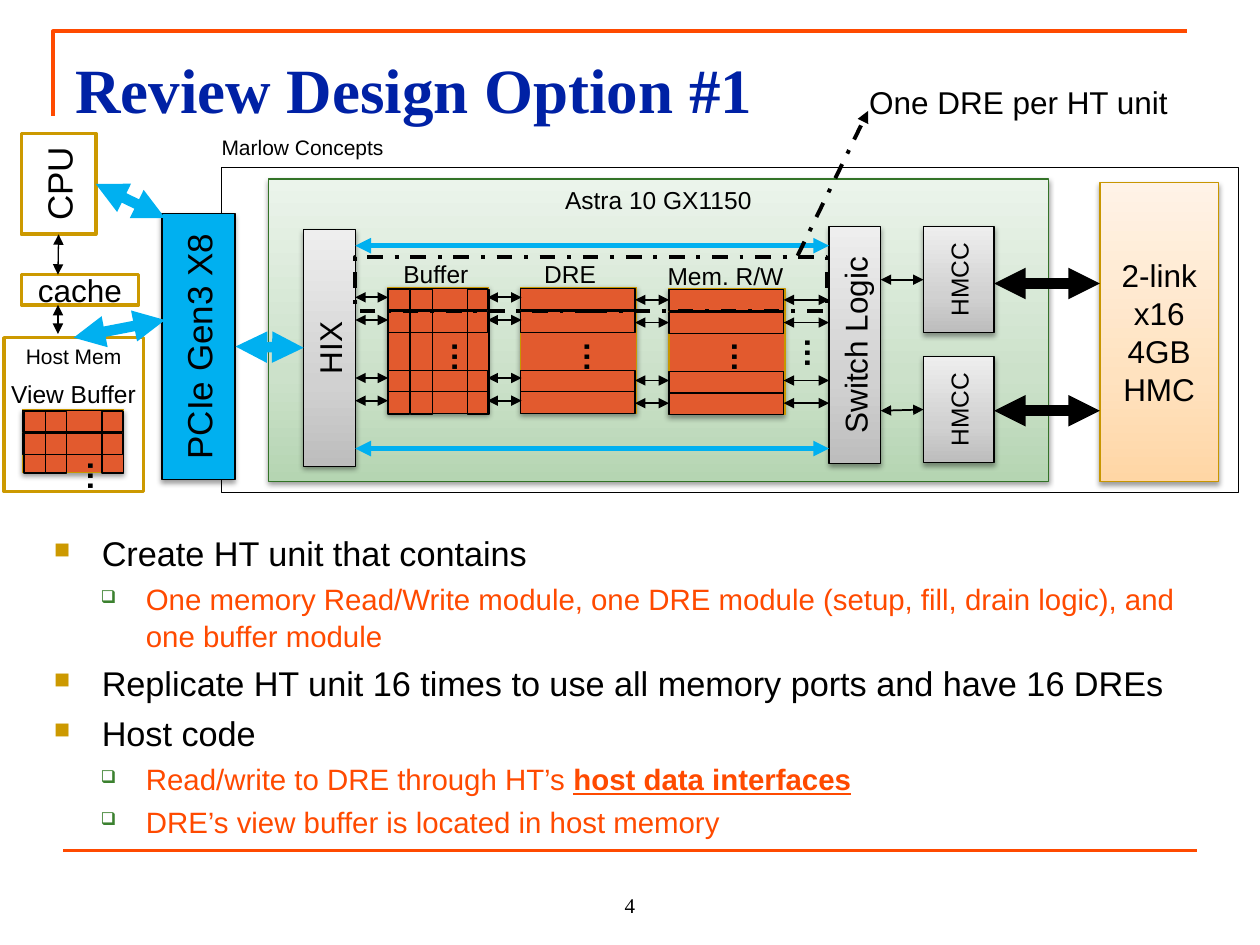
import lxml.etree
import pptx
import pptx.dml.color
import pptx.enum.dml
import pptx.enum.shapes
import pptx.enum.text
import pptx.oxml.ns
import pptx.util

Inches = pptx.util.Inches
Pt = pptx.util.Pt
RGBColor = pptx.dml.color.RGBColor
qn = pptx.oxml.ns.qn
ALIGN = pptx.enum.text.PP_ALIGN
ANCHOR = pptx.enum.text.MSO_ANCHOR
DASH_DOT = pptx.enum.dml.MSO_LINE.DASH_DOT

BLACK = RGBColor(0x00, 0x00, 0x00)
WHITE = RGBColor(0xFF, 0xFF, 0xFF)
NAVY = RGBColor(0x00, 0x21, 0xA5)
ORANGE = RGBColor(0xFF, 0x4A, 0x00)
BRICK = RGBColor(0xE2, 0x5A, 0x2E)
AMBER = RGBColor(0xC8, 0x96, 0x00)
GOLD = RGBColor(0xCC, 0x99, 0x00)
SKY = RGBColor(0x00, 0xB0, 0xF0)
GREEN = RGBColor(0x3B, 0x81, 0x2F)
DARK_GREEN = RGBColor(0x33, 0x73, 0x27)
GREEN_BLEND = [RGBColor(0xB5, 0xD5, 0xB2), RGBColor(0xCC, 0xE1, 0xCA), RGBColor(0xEB, 0xF4, 0xEB)]
PEACH_BLEND = [RGBColor(0xFF, 0xD6, 0xA5), RGBColor(0xFF, 0xE2, 0xBF), RGBColor(0xFF, 0xF3, 0xE7)]
GRAY_BLEND = [RGBColor(0xBD, 0xBD, 0xBD), RGBColor(0xD1, 0xD1, 0xD1), RGBColor(0xEE, 0xEE, 0xEE)]


def add_element(parent, tag, **attributes):
    """Append a drawing element with the given attributes."""
    element = lxml.etree.SubElement(parent, qn(tag))
    for name, value in attributes.items():
        element.set(name, str(value))
    return element


def add_run(paragraph, text, size, color=BLACK, font="Arial", bold=False, underline=False):
    """Add one formatted run to a paragraph."""
    run = paragraph.add_run()
    run.text = text
    run.font.size = Pt(size)
    run.font.name = font
    run.font.bold = bold
    run.font.underline = underline
    run.font.color.rgb = color


def add_label(slide, bounds, text, size, align=ALIGN.LEFT, anchor=ANCHOR.TOP, vertical=None, **style):
    """Add a wrapped text box with one paragraph."""
    frame = slide.shapes.add_textbox(*map(Inches, bounds)).text_frame
    frame.word_wrap = True
    frame.vertical_anchor = anchor
    if vertical:
        frame._txBody.bodyPr.set("vert", vertical)
    frame.paragraphs[0].alignment = align
    add_run(frame.paragraphs[0], text, size, **style)
    return frame


def add_ellipsis(slide, left, top):
    """Add a downward ellipsis."""
    add_label(slide, (left, top, 0.36, 0.4), "…", 18, vertical="vert", bold=True)


def apply_blend(shape, colors):
    """Fill a shape with an upward three-colour gradient."""
    shape.fill.background()
    properties = shape.element.spPr
    gradient = lxml.etree.Element(qn("a:gradFill"), rotWithShape="1")
    stops = add_element(gradient, "a:gsLst")
    for position, color in zip((0, 35000, 100000), colors):
        add_element(add_element(stops, "a:gs", pos=position), "a:srgbClr", val=color)
    add_element(gradient, "a:lin", ang=270 * 60000, scaled=0)
    properties.replace(properties.find(qn("a:noFill")), gradient)


def add_box(slide, bounds, fill=None, line=BLACK, weight=0.75, shadow=False, rotation=0,
            text=None, size=18, anchor=ANCHOR.MIDDLE, vertical=None):
    """Add a rectangle with a solid, gradient or absent fill and an optional label."""
    shape = slide.shapes.add_shape(pptx.enum.shapes.MSO_SHAPE.RECTANGLE, *map(Inches, bounds))
    shape.rotation = rotation
    shape.shadow.inherit = False
    if isinstance(fill, list):
        apply_blend(shape, fill)
    elif fill is None:
        shape.fill.background()
    else:
        shape.fill.solid()
        shape.fill.fore_color.rgb = fill
    shape.line.color.rgb = line
    shape.line.width = Pt(weight)
    if shadow:
        outer = add_element(shape.element.spPr.find(qn("a:effectLst")), "a:outerShdw",
                            blurRad=Pt(3.1), dist=Pt(1.6), dir=90 * 60000, rotWithShape=0)
        add_element(add_element(outer, "a:srgbClr", val=BLACK), "a:alpha", val=38000)
    if text:
        frame = shape.text_frame
        frame.word_wrap = True
        frame.vertical_anchor = anchor
        if vertical:
            frame._txBody.bodyPr.set("vert", vertical)
        frame.paragraphs[0].alignment = ALIGN.CENTER
        add_run(frame.paragraphs[0], text, size)
    return shape


def add_line(slide, start, end, color=BLACK, weight=1, heads=("headEnd", "tailEnd"), dash=None,
             begin=None, finish=None):
    """Add a straight connector, joined to (shape, side) pairs where given."""
    connector = slide.shapes.add_connector(
        pptx.enum.shapes.MSO_CONNECTOR.STRAIGHT, *map(Inches, start + end))
    connector.line.color.rgb = color
    connector.line.width = Pt(weight)
    if dash:
        connector.line.dash_style = dash
    properties = connector.element.spPr
    for head in heads:
        add_element(properties.find(qn("a:ln")), "a:" + head, type="triangle")
    add_element(properties, "a:effectLst")
    if begin:
        connector.begin_connect(*begin)
    if finish:
        connector.end_connect(*finish)


def add_module(slide, left, top, width, height=1, rows=(0.01, 0.19, 0.83, 0.66), columns=()):
    """Add a brick-coloured buffer block ruled into rows and columns."""
    add_box(slide, (left, top, width, height), BRICK, AMBER, shadow=True)
    for offset in rows:
        add_box(slide, (left, top + offset, width - 0.01, 0.17))
    length = height - 0.01
    for offset in columns:
        corner = left + offset + 0.085 - length / 2
        add_box(slide, (corner, top + height / 2 - 0.075, length, 0.17), rotation=90)


def add_frame_lines(slide):
    """Add the corner rule at the top and the rule at the bottom."""
    builder = slide.shapes.build_freeform(Inches(0.42), Inches(0.92), 1.0)
    builder.add_line_segments([(Inches(0.42), Inches(0.25)), (Inches(9.42), Inches(0.25))], close=False)
    corner = builder.convert_to_shape()
    corner.shadow.inherit = False
    corner.fill.background()
    corner.line.color.rgb = ORANGE
    corner.line.width = Pt(2.25)
    add_line(slide, (0.5, 6.75), (9.5, 6.75), ORANGE, 2.25, heads=())


def add_bullets(slide, items):
    """Add the two-level list of (level, runs) items."""
    frame = slide.shapes.add_textbox(*map(Inches, (0.33, 4.14, 9.33, 2.56))).text_frame
    frame.word_wrap = True
    frame.margin_top = Inches(0.07)
    levels = [(0.38, 0.38, "■", GOLD, 65, 19.6, BLACK), (0.73, 0.36, "❑", GREEN, 60, 16.8, ORANGE)]
    for index, (level, runs) in enumerate(items):
        margin, hanging, mark, mark_color, percent, size, color = levels[level]
        paragraph = frame.add_paragraph() if index else frame.paragraphs[0]
        paragraph.level = level
        properties = paragraph._p.get_or_add_pPr()
        properties.set("marL", str(Inches(margin)))
        properties.set("indent", str(-Inches(hanging)))
        add_element(add_element(properties, "a:buClr"), "a:srgbClr", val=mark_color)
        add_element(properties, "a:buSzPct", val=percent * 1000)
        add_element(properties, "a:buChar", char=mark)
        paragraph.line_spacing = 1.05
        paragraph.space_before = Pt(size * 0.2 if index else 0)
        for text, strong in runs:
            add_run(paragraph, text, size, color, bold=strong, underline=strong)


def add_board(slide):
    """Add the accelerator board with its modules and links."""
    gray = dict(fill=GRAY_BLEND, shadow=True, vertical="vert270")
    add_box(slide, (1.76, 1.33, 8.07, 2.58))
    add_box(slide, (0.52, 2.46, 2.11, 0.58), SKY, shadow=True, rotation=270, text="PCIe Gen3 X8", size=20)
    add_box(slide, (2.13, 1.42, 6.19, 2.4), GREEN_BLEND, DARK_GREEN, shadow=True,
            text="Astra 10 GX1150", size=14, anchor=ANCHOR.TOP)
    add_box(slide, (8.73, 1.45, 0.94, 2.37), PEACH_BLEND, AMBER, shadow=True, text="2-link x16 4GB HMC")
    hix = add_box(slide, (2.41, 1.82, 0.41, 1.88), text="HIX", **gray)
    add_line(slide, (1.87, 2.75), (2.41, 2.76), SKY, 6, finish=(hix, 1))
    add_box(slide, (6.58, 1.8, 0.41, 1.88), text="Switch Logic", **gray)
    for top, switch_y, memory_y in ((1.8, 2.22, 2.25), (2.83, 3.26, 3.26)):
        controller = add_box(slide, (7.33, top, 0.56, 0.84), text="HMCC", size=14, **gray)
        add_line(slide, (6.99, switch_y), (7.33, top + 0.42), finish=(controller, 1))
        add_line(slide, (7.89, memory_y), (8.73, memory_y), weight=6)
    for y in (1.95, 3.56):
        add_line(slide, (2.82, y), (6.58, y), SKY, 3)
    add_module(slide, 5.31, 2.29, 0.92)
    add_module(slide, 4.13, 2.28, 0.92)
    add_module(slide, 3.08, 2.28, 0.8, columns=(0, 0.18, 0.63))
    for left, right, top in ((2.82, 3.08, 2.36), (3.87, 4.14, 2.36), (5.04, 5.31, 2.38), (6.22, 6.58, 2.38)):
        for offset in (0, 0.18, 0.64, 0.82):
            add_line(slide, (left, top + offset), (right, top + offset))
    for left in (3.53, 4.58, 5.75):
        add_ellipsis(slide, left, 2.61)
    add_ellipsis(slide, 6.33, 2.58)
    add_label(slide, (3.06, 2.01, 0.8, 0.34), "Buffer", 14, ALIGN.CENTER)
    add_label(slide, (4.22, 2.01, 0.77, 0.34), "DRE", 14)
    add_label(slide, (5.2, 2.02, 1.36, 0.34), "Mem. R/W", 14)
    add_label(slide, (1.66, 1.02, 1.59, 0.3), "Marlow Concepts", 12)
    add_box(slide, (2.82, 2.04, 3.74, 0.43), weight=2.25).line.dash_style = DASH_DOT
    add_line(slide, (6.33, 2.03), (6.89, 0.88), weight=2.25, heads=("tailEnd",), dash=DASH_DOT)
    add_label(slide, (6.8, 0.61, 3.04, 0.4), "One DRE per HT unit", 18)


def add_host(slide):
    """Add the host processor, cache and memory with their links."""
    host = dict(fill=WHITE, line=GOLD, weight=2)
    cpu = add_box(slide, (0.17, 1.06, 0.59, 0.8), text="CPU", size=20, vertical="vert270", **host)
    add_box(slide, (0.17, 2.18, 0.93, 0.24), text="cache", **host)
    memory = add_box(slide, (0.03, 2.68, 1.11, 1.22), text="Host Mem", size=12, anchor=ANCHOR.TOP, **host)
    add_line(slide, (0.76, 1.46), (1.31, 1.73), SKY, 6, begin=(cpu, 3))
    add_line(slide, (0.46, 1.86), (0.46, 2.18), weight=0.75, begin=(cpu, 2))
    add_line(slide, (0.46, 2.42), (0.46, 2.65), weight=0.75)
    add_module(slide, 0.18, 3.25, 0.8, 0.5, rows=(0.01, 0.19), columns=(0.01, 0.18, 0.63))
    add_ellipsis(slide, 0.64, 3.56)
    add_label(slide, (-0.01, 2.96, 1.35, 0.34), "View Buffer", 14)
    add_line(slide, (0.59, 2.68), (1.31, 2.54), SKY, 6, begin=(memory, 0))


def main():
    """Build and save the slide."""
    presentation = pptx.Presentation()
    presentation.slide_width, presentation.slide_height = Inches(10), Inches(7.5)
    slide = presentation.slides.add_slide(presentation.slide_layouts[6])
    add_frame_lines(slide)
    title = add_label(slide, (0.5, 0.3, 9, 1.03), "Review Design Option #1", 36,
                      color=NAVY, font="Times New Roman", bold=True)
    title.margin_top = Inches(0.1)
    add_bullets(slide, [
        (0, [("Create HT unit that contains", False)]),
        (1, [("One memory Read/Write module, one DRE module (setup, fill, drain logic), "
              "and one buffer module", False)]),
        (0, [("Replicate HT unit 16 times to use all memory ports and have 16 DREs", False)]),
        (0, [("Host code", False)]),
        (1, [("Read/write to DRE through HT’s ", False), ("host data interfaces", True)]),
        (1, [("DRE’s view buffer is located in host memory", False)]),
    ])
    add_label(slide, (4, 6.83, 2, 0.5), "4", 12, ALIGN.CENTER, ANCHOR.BOTTOM, font="Times New Roman")
    add_board(slide)
    add_host(slide)
    presentation.save("out.pptx")


if __name__ == "__main__":
    main()
